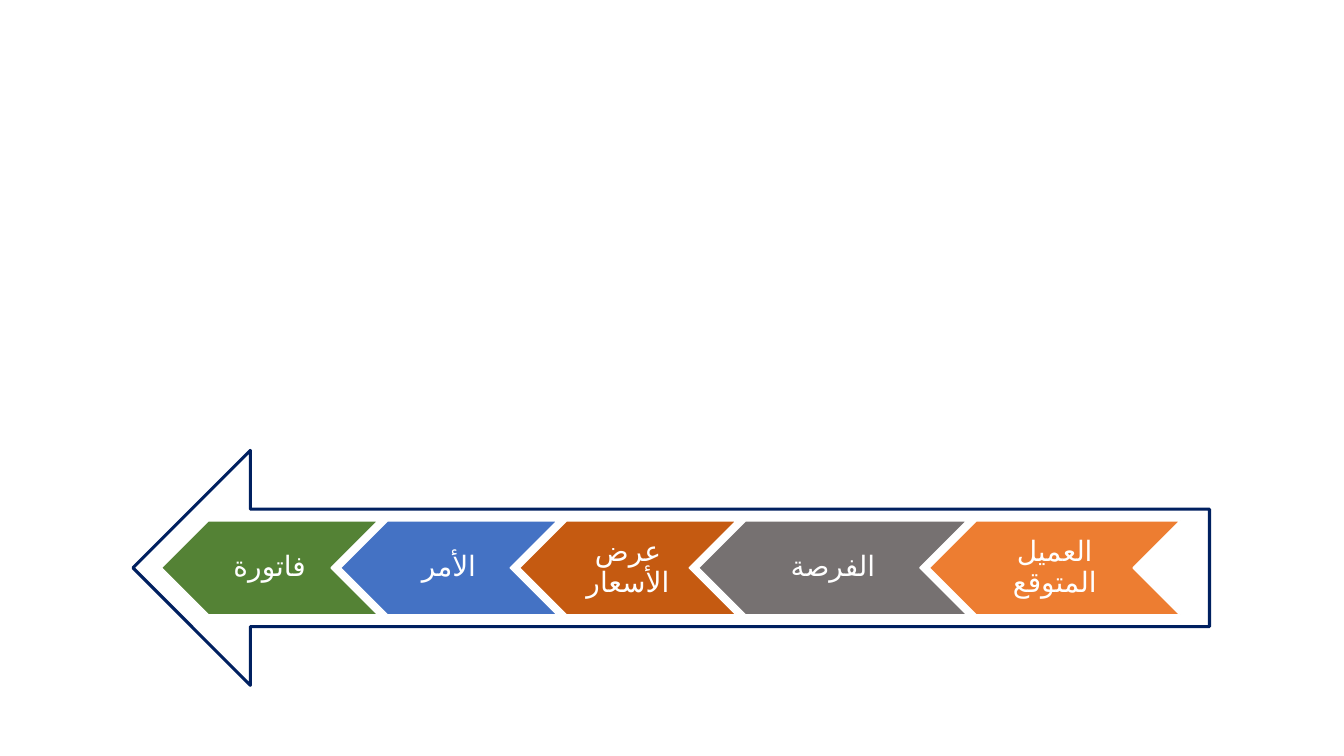
from lxml.etree import SubElement
from pptx import Presentation
from pptx.dml.color import RGBColor
from pptx.enum.lang import MSO_LANGUAGE_ID as LANG
from pptx.enum.shapes import MSO_SHAPE as SHAPE
from pptx.enum.text import MSO_ANCHOR as ANCHOR, PP_ALIGN as ALIGN
from pptx.oxml.ns import qn
from pptx.util import Cm, Pt

FONT = "Calibri"
# Sales stages in reading order, right to left: label, fill, width in cm
STAGES = [
    ("العميل المتوقع", "ED7D31", 6.32),
    ("الفرصة", "767171", 6.76),
    ("عرض الأسعار", "C55A11", 5.46),
    ("الأمر", "4472C4", 5.46),
    ("فاتورة", "548235", 5.46),
]


def rgb(value):
    return RGBColor.from_string(value)


def add_block(shapes, kind, box, fill, line, weight):
    sp = shapes.add_shape(kind, *[Cm(v) for v in box])
    sp.shadow.inherit = False
    sp.fill.solid()
    sp.fill.fore_color.rgb = rgb(fill)
    sp.line.color.rgb = rgb(line)
    sp.line.width = Pt(weight)
    return sp


def add_label(shapes, text, box):
    tf = shapes.add_textbox(*[Cm(v) for v in box]).text_frame
    tf.word_wrap = True
    tf.vertical_anchor = ANCHOR.MIDDLE
    tf.margin_left = tf.margin_right = tf.margin_top = tf.margin_bottom = Cm(0.2)
    p = tf.paragraphs[0]
    p.alignment = ALIGN.CENTER
    p.line_spacing = 0.9
    p._p.get_or_add_pPr().set("rtl", "1")
    r = p.add_run()
    r.text = text
    r.font.size = Pt(20)
    r.font.name = FONT
    r.font.language_id = LANG.ARABIC
    r.font.color.rgb = rgb("FFFFFF")
    # Typeface for Arabic script
    SubElement(r._r.get_or_add_rPr(), qn("a:cs")).set("typeface", FONT)


def add_stage(shapes, text, fill, box):
    left, top, width, height = box
    sp = add_block(shapes, SHAPE.CHEVRON, box, fill, "FFFFFF", 1)
    # Point the chevron to the left
    sp._element.spPr.get_or_add_xfrm().set("flipH", "1")
    add_label(shapes, text, (left + height / 2, top, width - height, height))


def add_process(s, box):
    left, top, width, height = box
    shapes = s.shapes.add_group_shape().shapes
    # Enclosing arrow
    add_block(shapes, SHAPE.LEFT_ARROW, box, "FFFFFF", "002060", 2.25)
    # Stages, each tucked into the notch of the one before
    stage_h = height * 0.4
    overlap = stage_h * 0.4
    right = left + width - 0.74
    for text, fill, stage_w in STAGES:
        x = right - stage_w
        add_stage(shapes, text, fill, (x, top + (height - stage_h) / 2, stage_w, stage_h))
        right = x + overlap


def main():
    prs = Presentation()
    prs.slide_width, prs.slide_height = Cm(33.87), Cm(19.05)
    s = prs.slides.add_slide(prs.slide_layouts[6])
    add_process(s, (3.35, 11.35, 27.13, 5.92))
    prs.save("out.pptx")


if __name__ == "__main__":
    main()
